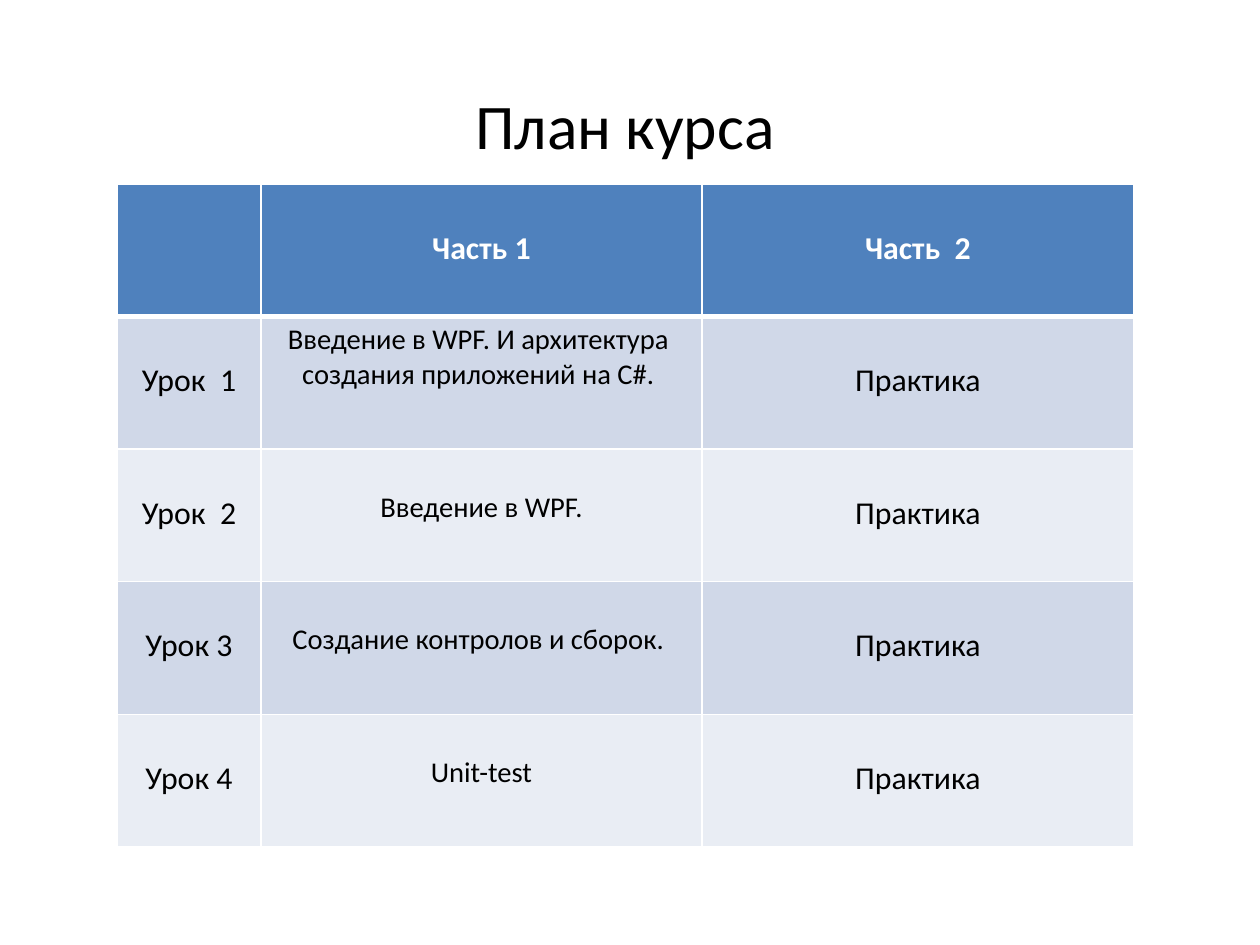
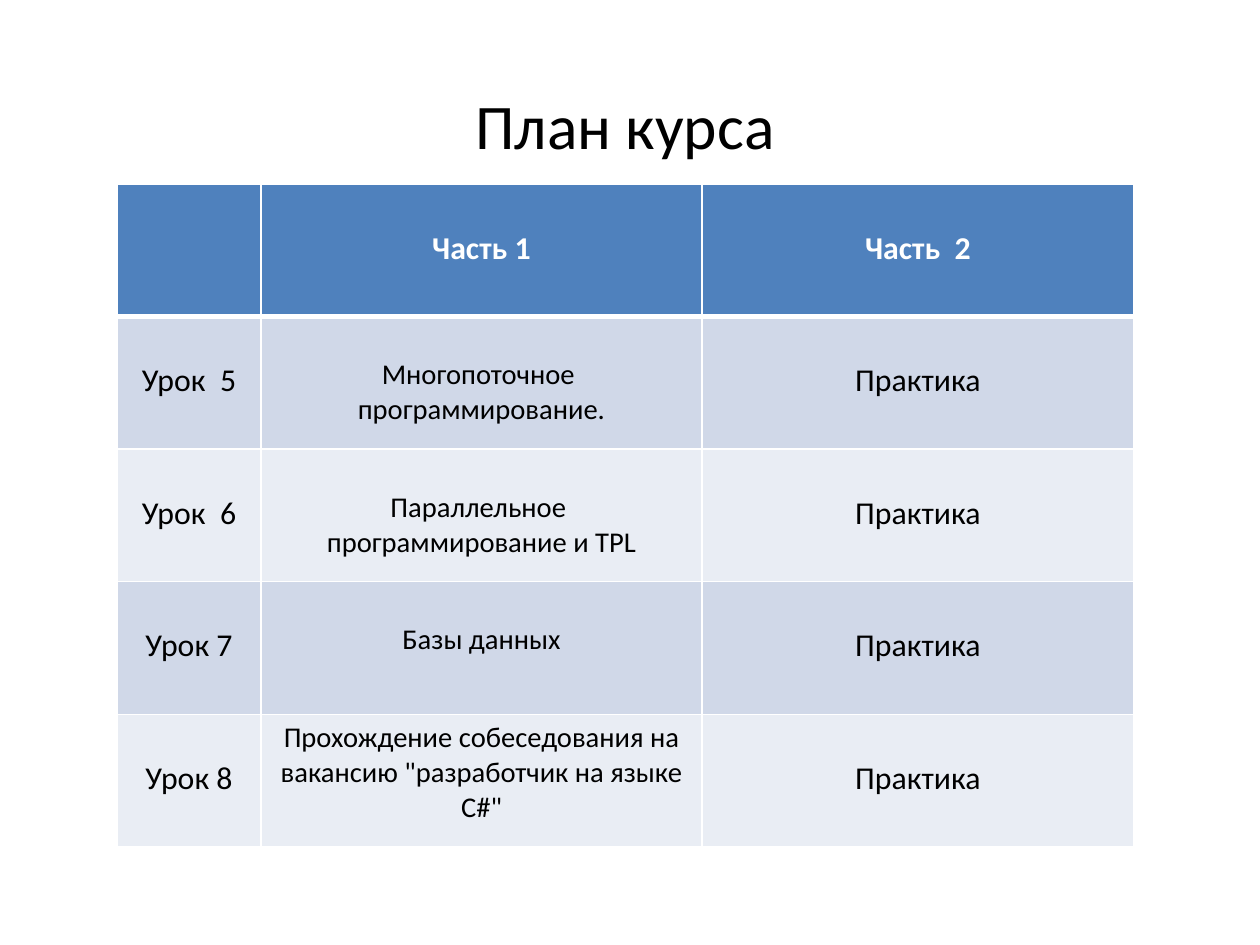
"""Build the two course plan slides."""
from dataclasses import dataclass

from lxml.etree import SubElement
from pptx import Presentation
from pptx.dml.color import RGBColor as Color
from pptx.enum.text import MSO_ANCHOR as Anchor, PP_ALIGN as Align
from pptx.oxml.ns import qn
from pptx.slide import Slide
from pptx.table import Table, _Cell as Cell
from pptx.text.text import TextFrame
from pptx.util import Emu, Pt

EMU_PER_PX = 8000


@dataclass(frozen=True)
class Theme:
    """Colours, fonts and type sizes shared by all slides."""
    font: str = "Calibri"
    ink: str = "000000"
    paper: str = "FFFFFF"
    header: str = "4F81BD"
    bands: tuple[str, str] = ("D0D8E8", "E9EDF4")
    title_size: int = 40
    label_size: int = 20
    topic_size: int = 18
    thin_rule: int = 1
    thick_rule: int = 3


@dataclass(frozen=True)
class Box:
    """A rectangle in px."""
    left: int
    top: int
    width: int
    height: int

    def emu(self) -> tuple[Emu, Emu, Emu, Emu]:
        """Return the rectangle in EMU."""
        return px(self.left), px(self.top), px(self.width), px(self.height)


@dataclass(frozen=True)
class TextStyle:
    """The look of the text in a cell or box."""
    size: int
    color: str
    bold: bool = False


@dataclass(frozen=True)
class Lesson:
    """One row of the plan; a raised topic starts at the top of its cell."""
    label: str
    topic: str
    raised: bool = False


THEME = Theme()
PAGE = Box(0, 0, 1260, 945)
TITLE_BOX = Box(112, 80, 1026, 219)
TABLE_BOX = Box(117, 184, 1017, 663)
COLUMN_WIDTHS = (144, 441, 432)
CELL_INSET = 6
LINE_HEIGHT = 1.22

TITLE = "План курса"
HEADINGS = ("", "Часть 1", "Часть  2")
PRACTICE = "Практика"
PLANS = (
    (
        Lesson("Урок  1", "Введение в WPF. И архитектура  создания приложений на C#. ", raised=True),
        Lesson("Урок  2", "Введение в WPF."),
        Lesson("Урок 3", "Создание контролов и сборок. "),
        Lesson("Урок 4", "Unit-test"),
    ),
    (
        Lesson("Урок  5", "Многопоточное \nпрограммирование."),
        Lesson("Урок  6", "Параллельное \nпрограммирование и TPL"),
        Lesson("Урок 7", "Базы данных"),
        Lesson("Урок 8", "Прохождение собеседования на вакансию \"разработчик на языке C#\"", raised=True),
    ),
)

TITLE_STYLE = TextStyle(THEME.title_size, THEME.ink)
HEADING_STYLE = TextStyle(THEME.label_size, THEME.paper, bold=True)
LABEL_STYLE = TextStyle(THEME.label_size, THEME.ink)
TOPIC_STYLE = TextStyle(THEME.topic_size, THEME.ink)


def px(length: int) -> Emu:
    """Turn px into EMU."""
    return Emu(length * EMU_PER_PX)


def write(frame: TextFrame, text: str, style: TextStyle) -> None:
    """Fill a frame with centred text, one paragraph a line."""
    frame.text = text
    for para in frame.paragraphs:
        para.alignment = Align.CENTER
        para.font.name = THEME.font
        para.font.size = Pt(style.size)
        para.font.bold = style.bold
        para.font.color.rgb = Color.from_string(style.color)


def rule_cell(cell: Cell, top: int, bottom: int) -> None:
    """Draw the four borders of a cell with the given rule widths."""
    properties = cell._tc.get_or_add_tcPr()
    widths = {"lnL": THEME.thin_rule, "lnR": THEME.thin_rule, "lnT": top, "lnB": bottom}
    for tag, width in widths.items():
        line = SubElement(properties, qn(f"a:{tag}"), w=str(Pt(width)))
        fill = SubElement(line, qn("a:solidFill"))
        SubElement(fill, qn("a:srgbClr"), val=THEME.paper)


def fill_row(table: Table, index: int, texts: tuple[str, ...],
             styles: tuple[TextStyle, ...], raised: bool = False) -> None:
    """Write, rule and colour one row of the plan."""
    thin, thick = THEME.thin_rule, THEME.thick_rule
    color = THEME.bands[(index - 1) % 2] if index else THEME.header
    for column, (text, style) in enumerate(zip(texts, styles)):
        cell = table.cell(index, column)
        rule_cell(cell, thick if index == 1 else thin, thin if index else thick)
        cell.fill.solid()
        cell.fill.fore_color.rgb = Color.from_string(color)
        cell.vertical_anchor = Anchor.TOP
        lead = 0 if raised and style is TOPIC_STYLE else Pt(style.size * LINE_HEIGHT)
        cell.margin_top = Emu(px(CELL_INSET) + lead)
        write(cell.text_frame, text, style)


def add_title(page: Slide) -> None:
    """Add the shared slide title."""
    frame = page.shapes.add_textbox(*TITLE_BOX.emu()).text_frame
    frame.word_wrap = True
    write(frame, TITLE, TITLE_STYLE)


def add_plan(page: Slide, lessons: tuple[Lesson, ...]) -> None:
    """Add the table of lessons."""
    row_count = len(lessons) + 1
    table = page.shapes.add_table(row_count, len(HEADINGS), *TABLE_BOX.emu()).table
    for column, width in zip(table.columns, COLUMN_WIDTHS):
        column.width = px(width)
    for row in table.rows:
        row.height = Emu(px(TABLE_BOX.height) // row_count)
    fill_row(table, 0, HEADINGS, (HEADING_STYLE,) * len(HEADINGS))
    for index, lesson in enumerate(lessons, start=1):
        fill_row(table, index, (lesson.label, lesson.topic, PRACTICE),
                 (LABEL_STYLE, TOPIC_STYLE, LABEL_STYLE), lesson.raised)


def main() -> None:
    """Build and save the deck."""
    deck = Presentation()
    deck.slide_width, deck.slide_height = px(PAGE.width), px(PAGE.height)
    for lessons in PLANS:
        page = deck.slides.add_slide(deck.slide_layouts[6])
        add_title(page)
        add_plan(page, lessons)
    deck.save("out.pptx")


if __name__ == "__main__":
    main()
